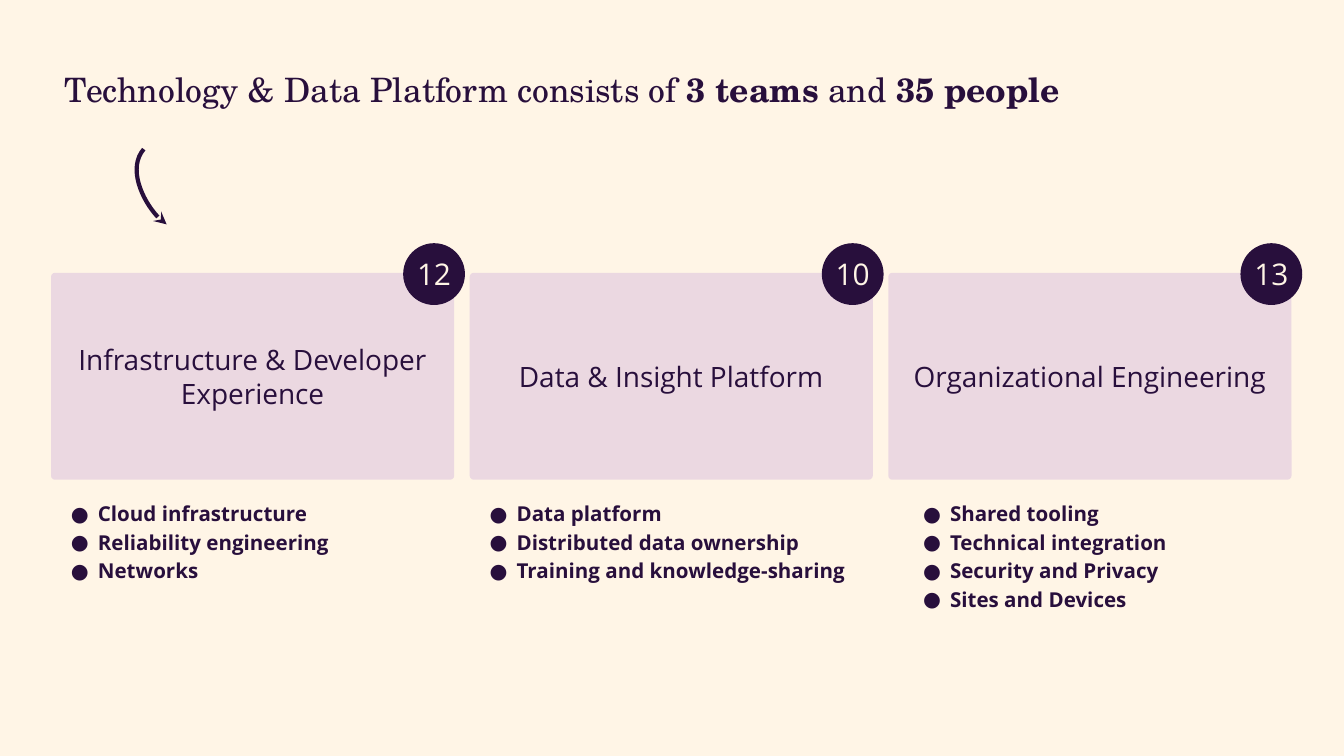
from lxml import etree
from pptx import Presentation
from pptx.dml.color import RGBColor
from pptx.enum.shapes import MSO_SHAPE
from pptx.enum.text import MSO_ANCHOR, MSO_AUTO_SIZE, PP_ALIGN
from pptx.oxml.ns import qn
from pptx.util import Inches, Pt

CARD, DISC = MSO_SHAPE.ROUNDED_RECTANGLE, MSO_SHAPE.OVAL
TOP, MIDDLE = MSO_ANCHOR.TOP, MSO_ANCHOR.MIDDLE
LEFT, CENTER = PP_ALIGN.LEFT, PP_ALIGN.CENTER
GROW = MSO_AUTO_SIZE.SHAPE_TO_FIT_TEXT

CREAM, PLUM, LILAC = "FFF5E6", "280F3C", "A573D2"
SANS, SERIF = "Open Sans", "TeX Gyre Schola"

# name, head count, duties, shift of the duty list, width of the duty list
TEAMS = [
    ("Infrastructure & Developer Experience", 12,
     ["Cloud infrastructure", "Reliability engineering", "Networks"], 0, 2.24),
    ("Data & Insight Platform", 10,
     ["Data platform", "Distributed data ownership",
      "Training and knowledge-sharing"], 0, 3.61),
    ("Organizational Engineering", 13,
     ["Shared tooling", "Technical integration", "Security and Privacy",
      "Sites and Devices"], 0.11, 3.61),
]


def paint(target, color):
    """Give a fill, background fill or line fill one solid colour."""
    target.solid()
    target.fore_color.rgb = RGBColor.from_string(color)


def style(font, size, color=PLUM, name=SANS, bold=False):
    values = {"size": Pt(size), "name": name, "bold": bold}
    for key, value in values.items():
        setattr(font, key, value)
    font.color.rgb = RGBColor.from_string(color)


def set_frame(frame, anchor, inset=0.1):
    values = {"word_wrap": True, "vertical_anchor": anchor}
    for side in ("left", "top", "right", "bottom"):
        values[f"margin_{side}"] = Inches(inset)
    for key, value in values.items():
        setattr(frame, key, value)


def add_title(slide, box):
    title = slide.shapes.title
    for key, value in zip(("left", "top", "width", "height"), box):
        setattr(title, key, Inches(value))
    frame = title.text_frame
    set_frame(frame, TOP)
    frame.auto_size = GROW
    para = frame.paragraphs[0]
    para.alignment = LEFT
    parts = [("Technology & Data Platform consists of ", False),
             ("3 teams", True), (" and ", False), ("35 people", True)]
    for text, bold in parts:
        run = para.add_run()
        run.text = text
        style(run.font, 18, name=SERIF, bold=bold)


def add_arrow(slide, left, top):
    """Draw a curved arrow that leads from the title to the cards."""
    def at(x, y):
        return Inches(left + x), Inches(top + y)

    pen = slide.shapes.build_freeform(*at(0.04, 0))
    pen.add_line_segments([at(0, 0.19), at(0.21, 0.56)], close=False)
    arrow = pen.convert_to_shape()
    arrow.shadow.inherit = False
    arrow.fill.background()
    paint(arrow.line.fill, PLUM)
    arrow.line.width = Pt(2.25)

    track = next(arrow.element.iter(qn("a:pathLst")))[0]
    for step in track.findall(qn("a:lnTo")):
        track.remove(step)
    curve = etree.SubElement(track, qn("a:cubicBezTo"))
    for x, y in [(-0.08, 0.14), (0.06, 0.47), (0.21, 0.56)]:
        etree.SubElement(curve, qn("a:pt"),
                         x=str(Inches(x)), y=str(Inches(y)))
    line = next(arrow.element.iter(qn("a:ln")))
    etree.SubElement(line, qn("a:tailEnd"), type="stealth")


def add_label(slide, kind, box, text, fill, size, color, inset):
    """Add a filled shape with one centred text."""
    shape = slide.shapes.add_shape(kind, *map(Inches, box))
    shape.shadow.inherit = False
    paint(shape.fill, fill)
    shape.line.fill.background()
    set_frame(shape.text_frame, MIDDLE, inset)
    para = shape.text_frame.paragraphs[0]
    para.text = text
    para.alignment = CENTER
    style(para.runs[0].font, size, color)
    return shape


def add_list(slide, box, items):
    frame = slide.shapes.add_textbox(*map(Inches, box)).text_frame
    set_frame(frame, TOP)
    for i, item in enumerate(items):
        para = frame.paragraphs[0] if i == 0 else frame.add_paragraph()
        para.text = item
        if i:
            para.space_before = Pt(2)
        props = para._p.get_or_add_pPr()
        props.set("marL", str(Inches(0.25)))
        props.set("indent", str(Inches(-0.2)))
        tint = etree.SubElement(props, qn("a:buClr"))
        etree.SubElement(tint, qn("a:srgbClr"), val=PLUM)
        etree.SubElement(props, qn("a:buSzPts"), val="1100")
        etree.SubElement(props, qn("a:buFont"), typeface=SANS)
        etree.SubElement(props, qn("a:buChar"), char="●")
        style(para.runs[0].font, 11, bold=True)


def add_team(slide, left, top, width, team):
    name, count, duties, shift, span = team
    card = add_label(slide, CARD, (left, top, width, 1.54), name,
                     LILAC, 15, PLUM, 0.1)
    card.adjustments[0] = 0.02
    tint = card.element.spPr.find(qn("a:solidFill"))[0]
    etree.SubElement(tint, qn("a:alpha"), val="22000")
    add_label(slide, DISC, (left + width - 0.38, top - 0.22, 0.46, 0.46),
              str(count), PLUM, 16, CREAM, 0)
    add_list(slide, (left + shift, top + 1.6, span, 1.58), duties)


def main():
    deck = Presentation()
    deck.slide_width = Inches(10)
    deck.slide_height = deck.slide_width * 9 // 16
    slide = deck.slides.add_slide(deck.slide_layouts[5])
    paint(slide.background.fill, CREAM)
    add_title(slide, (0.38, 0.41, 8.12, 0.5))
    add_arrow(slide, 1.03, 1.11)
    first, last, width = 0.38, 6.61, 3
    step = (last - first) / (len(TEAMS) - 1)
    for i, team in enumerate(TEAMS):
        add_team(slide, first + i * step, 2.03, width, team)
    deck.save("out.pptx")


if __name__ == "__main__":
    main()
